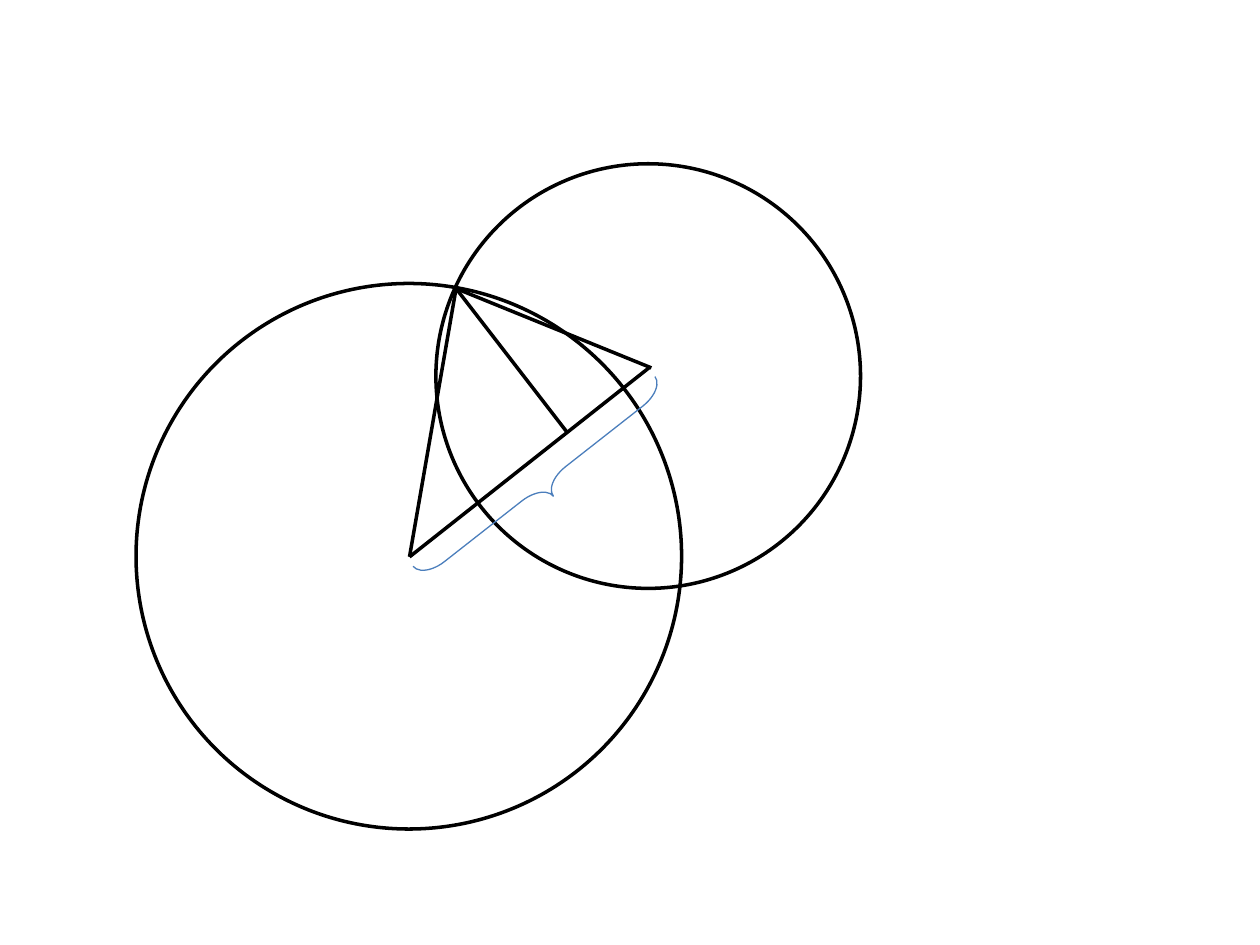
"""Build a slide of two intersecting circles with their triangle, height and brace."""
from lxml.etree import SubElement
from pptx import Presentation
from pptx.dml.color import RGBColor
from pptx.enum.shapes import MSO_CONNECTOR as CONN, MSO_SHAPE as SHAPE
from pptx.oxml.ns import qn
from pptx.util import Inches, Pt

BLACK = RGBColor(0x00, 0x00, 0x00)
BLUE = RGBColor(0x4B, 0x7E, 0xBC)

CIRCLES = [(1.08, 2.25, 4.33), (3.46, 1.3, 3.37)]
LARGE_CENTER = (3.25, 4.42)
CROSSING = (3.62, 2.29)
SEGMENTS = [
    (LARGE_CENTER, (5.15, 2.92)),
    (LARGE_CENTER, CROSSING),
    ((5.17, 2.92), CROSSING),
    ((4.5, 3.43), CROSSING),
]
BRACE = (4.19, 2.62, 0.25, 2.44)
BRACE_ANGLE = 51.9
BRACE_CURVE = 0.88


def style_line(shape, color, width):
    shape.line.color.rgb = color
    shape.line.width = Pt(width)


def add_outline(s, kind, box, color, width):
    sp = s.shapes.add_shape(kind, *map(Inches, box))
    sp.shadow.inherit = False
    sp.fill.background()
    style_line(sp, color, width)
    return sp


def add_segment(s, start, end):
    line = s.shapes.add_connector(CONN.STRAIGHT, *map(Inches, start + end))
    style_line(line, BLACK, 2)
    SubElement(line._element.spPr, qn("a:effectLst"))


def main():
    prs = Presentation()
    prs.slide_width, prs.slide_height = Inches(10), Inches(7.5)
    s = prs.slides.add_slide(prs.slide_layouts[6])
    for left, top, size in CIRCLES:
        add_outline(s, SHAPE.OVAL, (left, top, size, size), BLACK, 2)
    for start, end in SEGMENTS:
        add_segment(s, start, end)
    brace = add_outline(s, SHAPE.RIGHT_BRACE, BRACE, BLUE, 0.75)
    brace.adjustments[0] = BRACE_CURVE
    brace.rotation = BRACE_ANGLE
    prs.save("out.pptx")


if __name__ == "__main__":
    main()
